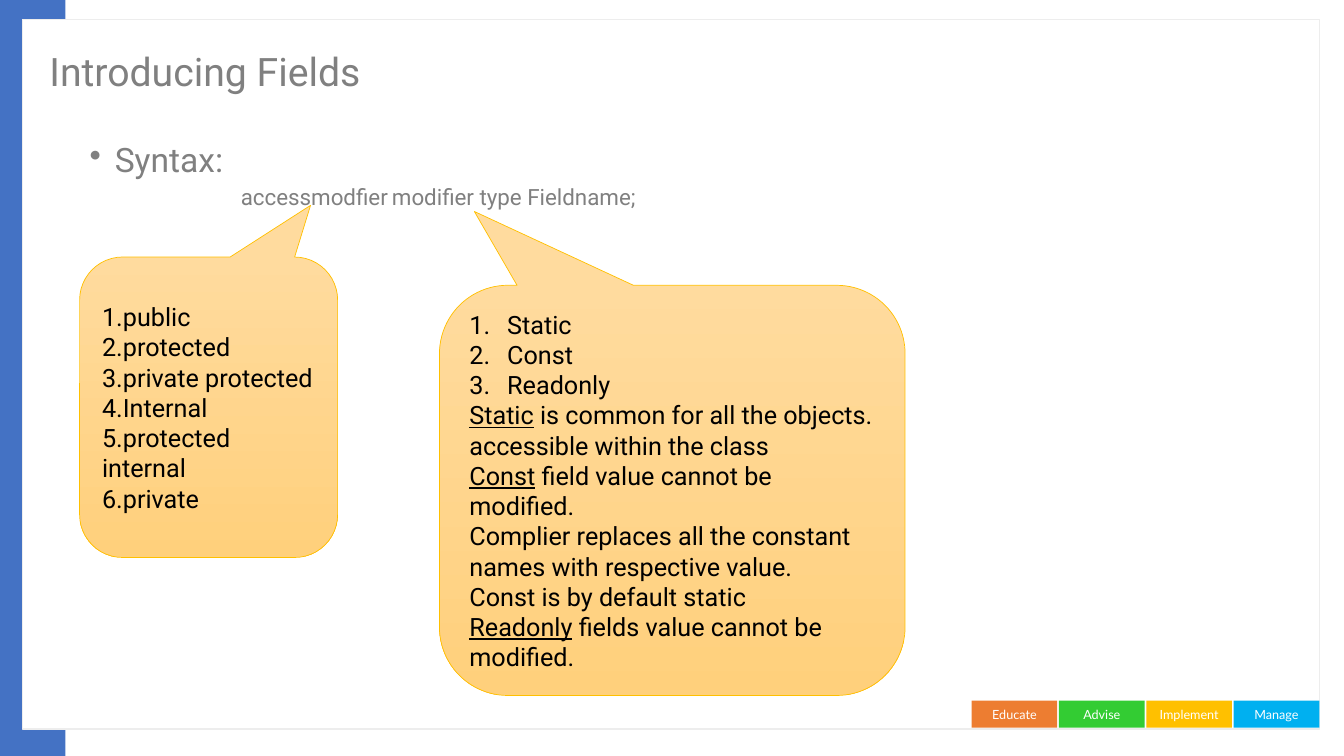
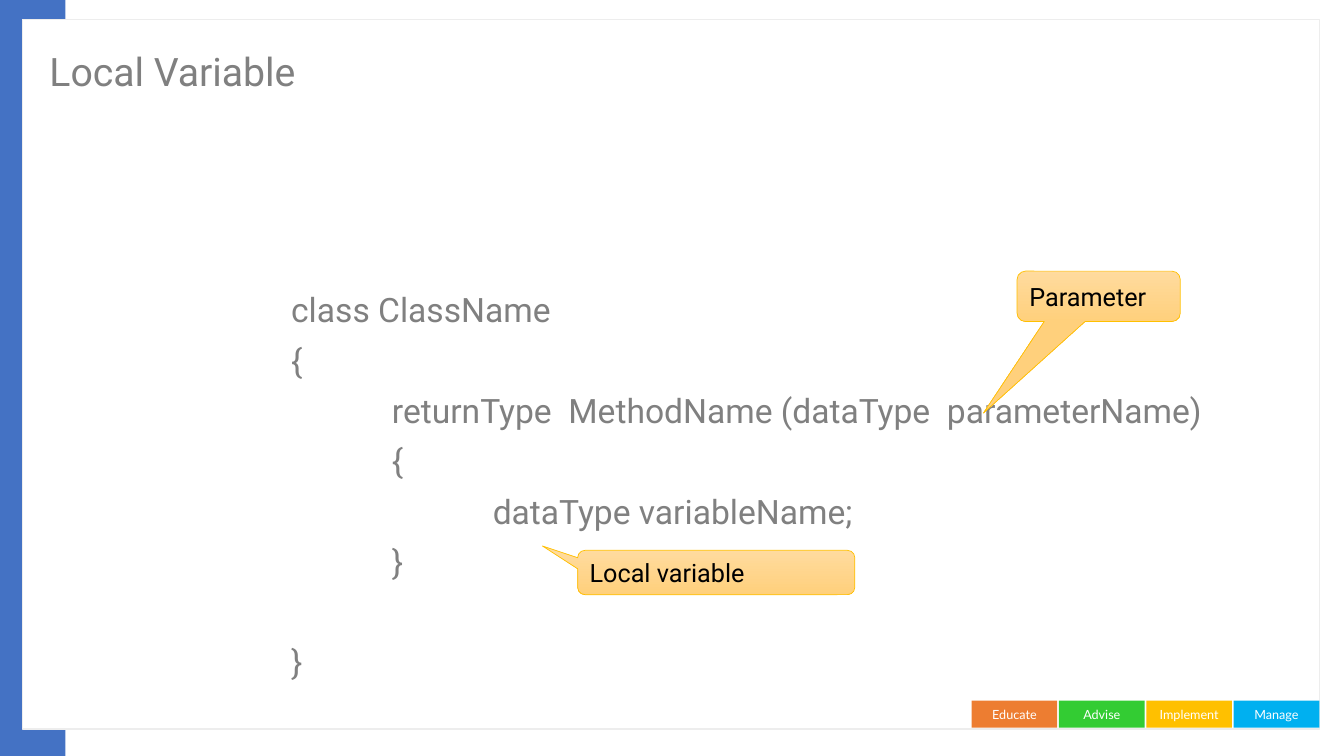
import dataclasses

import pptx
import pptx.dml.color
import pptx.enum.shapes
import pptx.enum.text
import pptx.util
from lxml import etree
from pptx.oxml.ns import qn

Pt = pptx.util.Pt
MSO = pptx.enum.shapes.MSO_SHAPE
ALIGN = pptx.enum.text.PP_ALIGN
ANCHOR = pptx.enum.text.MSO_ANCHOR


@dataclasses.dataclass(frozen=True)
class Theme:
    # Colours
    band: str = "4472C4"
    panel: str = "FFFFFF"
    panel_line: str = "EDEDED"
    grey: str = "808080"
    black: str = "000000"
    white: str = "FFFFFF"
    callout_top: str = "FFDB9E"
    callout_bottom: str = "FFD07C"
    callout_line: str = "FFC000"
    footer: tuple = (("Educate", "ED7D31"), ("Advise", "33CC33"),
                     ("Implement", "FFC000"), ("Manage", "00B0F0"))
    # Fonts and type sizes
    font: str = "Roboto"
    footer_font: str = "Lato"
    title_size: int = 28
    body_size: int = 24
    callout_size: int = 18
    syntax_size: int = 16
    footer_size: int = 9


THEME = Theme()


def rgb(color):
    return pptx.dml.color.RGBColor.from_string(color)


def add_text(tf, text, *, size, color, font=THEME.font, align=ALIGN.LEFT,
             spacing=None, before=0, indent=0, hanging=0, bullet=None,
             number=False, tab=None, lead=""):
    """Add one paragraph; lead is an underlined opening word."""
    p = tf.add_paragraph() if tf.text else tf.paragraphs[0]
    p.alignment = align
    if spacing:
        p.line_spacing = spacing
    if before:
        p.space_before = Pt(before)
    pPr = p._p.get_or_add_pPr()
    pPr.set("marL", str(Pt(indent)))
    pPr.set("indent", str(Pt(-hanging)))
    if bullet:
        etree.SubElement(pPr, qn("a:buChar"), char=bullet)
    if number:
        etree.SubElement(pPr, qn("a:buAutoNum"), type="arabicPeriod")
    if tab:
        tabs = etree.SubElement(pPr, qn("a:tabLst"))
        etree.SubElement(tabs, qn("a:tab"), pos=str(Pt(tab)), algn="l")
    for part, underline in ((lead, True), (text, False)):
        if part:
            r = p.add_run()
            r.text = part
            r.font.name = font
            r.font.size = Pt(size)
            r.font.color.rgb = rgb(color)
            r.font.underline = underline


class Deck:
    def __init__(self, theme):
        self.theme = theme
        self.prs = pptx.Presentation()
        self.prs.slide_width, self.prs.slide_height = Pt(960), Pt(540)
        self.s = None

    # Slide frame: band, panel, footer and title
    def slide(self, title):
        t = self.theme
        self.s = self.prs.slides.add_slide(self.prs.slide_layouts[6])
        self.shape(0, 0, 46.8, 540, fill=t.band)
        self.shape(16.2, 13.8, 926.2, 506.8, fill=t.panel, line=t.panel_line)
        for i, (label, color) in enumerate(t.footer):
            sp = self.shape(694 + 62.4 * i, 500.4, 61.2, 19.4, fill=color)
            add_text(sp.text_frame, label, size=t.footer_size, color=t.white,
                     font=t.footer_font, align=ALIGN.CENTER)
        tf = self.box(28.2, 21.6, 743, 62.6, anchor=ANCHOR.MIDDLE)
        add_text(tf, title, size=t.title_size, color=t.grey, spacing=0.9)

    def shape(self, x, y, w, h, *, kind=MSO.RECTANGLE, fill=None, line=None,
              weight=1):
        sp = self.s.shapes.add_shape(kind, Pt(x), Pt(y), Pt(w), Pt(h))
        sp.shadow.inherit = False
        if fill:
            sp.fill.solid()
            sp.fill.fore_color.rgb = rgb(fill)
        if line:
            sp.line.color.rgb = rgb(line)
            sp.line.width = Pt(weight)
        else:
            sp.line.fill.background()
        sp.text_frame.word_wrap = True
        sp.text_frame.vertical_anchor = ANCHOR.MIDDLE
        return sp

    def box(self, x, y, w, h, anchor=ANCHOR.TOP):
        tf = self.s.shapes.add_textbox(Pt(x), Pt(y), Pt(w), Pt(h)).text_frame
        tf.word_wrap = True
        tf.vertical_anchor = anchor
        return tf

    def bullet(self, x, y, w, h, text):
        add_text(self.box(x, y, w, h), text, size=self.theme.body_size,
                 color=self.theme.grey, spacing=0.9, indent=18, hanging=18,
                 bullet="•")

    def code(self, x, y, w, h, lines, *, size, tab=None):
        """Each line is (level, space before, text)."""
        tf = self.box(x, y, w, h)
        for level, before, text in lines:
            add_text(tf, text, size=size, color=self.theme.grey, spacing=0.9,
                     before=before, indent=72 * level, tab=tab)

    def callout(self, x, y, w, h, tip, lines):
        """Each line is (text, extra format); tip is relative to the centre."""
        t = self.theme
        sp = self.shape(x, y, w, h, kind=MSO.ROUNDED_RECTANGULAR_CALLOUT,
                        line=t.callout_line, weight=0.5)
        sp.adjustments[0], sp.adjustments[1] = tip
        sp.fill.gradient()
        sp.fill.gradient_angle = 270
        for stop, color in zip(sp.fill.gradient_stops,
                               (t.callout_top, t.callout_bottom)):
            stop.color.rgb = rgb(color)
        for stop, position in zip(sp.fill.gradient_stops, (0, 1)):
            stop.position = position
        for text, extra in lines:
            add_text(sp.text_frame, text, size=t.callout_size, color=t.black,
                     **extra)


def fields_slide(deck):
    deck.slide("Introducing Fields")
    deck.bullet(56.9, 98.6, 870.5, 34, "Syntax:")
    deck.code(164.9, 129.5, 762.5, 26,
              [(0, 0, "accessmodfier\tmodifier type Fieldname;")],
              size=deck.theme.syntax_size, tab=116.8)

    # Access modifiers
    access = ("public", "protected", "private protected", "Internal",
              "protected internal", "private")
    deck.callout(56.9, 183.6, 184.3, 214.6, (0.395, -0.672),
                 [(f"{i}.{name}", {}) for i, name in enumerate(access, 1)])

    # Modifiers
    numbered = dict(number=True, indent=27, hanging=27)
    deck.callout(313.9, 203.8, 332.6, 293, (-0.425, -0.68), [
        ("Static", numbered),
        ("Const", numbered),
        ("Readonly", numbered),
        (" is common for all the objects.", dict(lead="Static")),
        ("accessible within the class", {}),
        (" field value cannot be modified.", dict(lead="Const")),
        ("Complier replaces all the constant names with respective value.", {}),
        ("Const is by default static", {}),
        (" fields value cannot be modified.", dict(lead="Readonly")),
    ])


def local_variable_slide(deck):
    deck.slide("Local Variable")
    deck.code(200.9, 206.4, 726.5, 285, [
        (0, 0, "class ClassName"),
        (0, 10, "{"),
        (1, 10, "returnType  MethodName (dataType  parameterName)"),
        (1, 10, "{"),
        (2, 10, "dataType variableName;"),
        (1, 10, "}"),
        (0, 45.9, "}"),
    ], size=deck.theme.body_size)
    deck.callout(412.6, 393.1, 198, 31.7, (-0.627, -0.598),
                 [("Local variable", {})])
    deck.callout(726.5, 193.7, 116.6, 36, (-0.706, 2.316),
                 [("Parameter", {})])


def main():
    deck = Deck(THEME)
    fields_slide(deck)
    local_variable_slide(deck)
    deck.prs.save("out.pptx")


if __name__ == "__main__":
    main()
